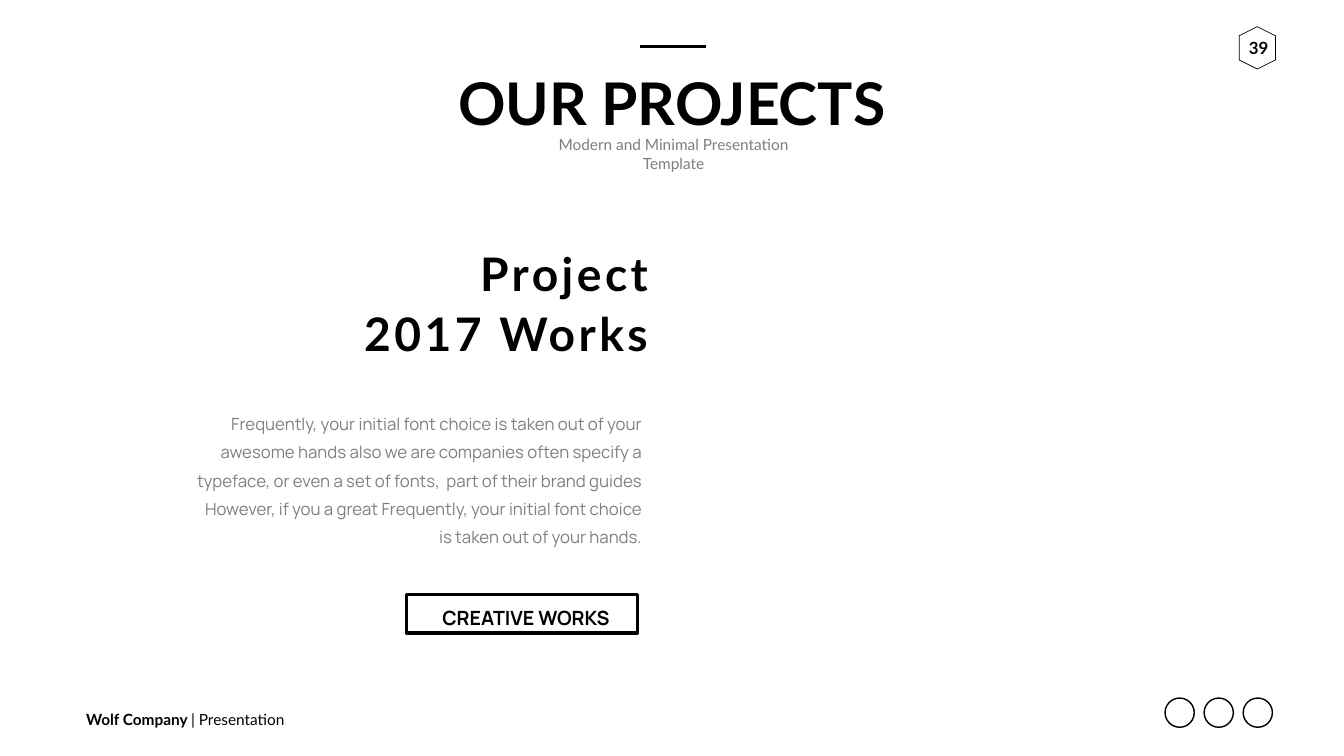
from lxml import etree
from pptx import Presentation
from pptx.dml.color import RGBColor
from pptx.enum.shapes import MSO_CONNECTOR, MSO_SHAPE
from pptx.enum.text import MSO_ANCHOR, MSO_AUTO_SIZE, PP_ALIGN
from pptx.oxml.ns import qn
from pptx.util import Inches, Pt

LEFT, CENTER, RIGHT = PP_ALIGN.LEFT, PP_ALIGN.CENTER, PP_ALIGN.RIGHT
TOP, MIDDLE = MSO_ANCHOR.TOP, MSO_ANCHOR.MIDDLE
FIT_SHAPE = MSO_AUTO_SIZE.SHAPE_TO_FIT_TEXT
STRAIGHT = MSO_CONNECTOR.STRAIGHT
HEXAGON, RECTANGLE, OVAL = MSO_SHAPE.HEXAGON, MSO_SHAPE.RECTANGLE, MSO_SHAPE.OVAL

COLORS = {"black": "000000", "gray": "7F7F7F"}
HEADING_FONT, BODY_FONT = "Lato", "Manrope"

BODY_TEXT = (
    "Frequently, your initial font choice is taken out of your awesome hands "
    "also we are companies often specify a typeface, or even a set of fonts,  "
    "part of their brand guides However, if you a great Frequently, your "
    "initial font choice is taken out of your hands."
)


def color(name):
    return RGBColor.from_string(COLORS[name])


def add_text(slide, box, paragraphs, size, font=HEADING_FONT, fill="black",
             align=LEFT, anchor=TOP, insets=(0.1, 0.05), wrap=False,
             line_spacing=None, letter_spacing=None):
    """Add a text box; each paragraph is a list of (text, bold) runs."""
    shape = slide.shapes.add_textbox(*map(Inches, box))
    frame = shape.text_frame
    frame.word_wrap = wrap
    frame.auto_size = FIT_SHAPE
    frame.vertical_anchor = anchor
    frame.margin_left = frame.margin_right = Inches(insets[0])
    frame.margin_top = frame.margin_bottom = Inches(insets[1])
    for index, runs in enumerate(paragraphs):
        paragraph = frame.add_paragraph() if index else frame.paragraphs[0]
        paragraph.alignment = align
        if line_spacing:
            paragraph.line_spacing = Pt(line_spacing)
        for text, bold in runs:
            run = paragraph.add_run()
            run.text = text
            run.font.name = font
            run.font.size = Pt(size)
            run.font.bold = bold
            run.font.color.rgb = color(fill)
            if letter_spacing:
                run.font._element.set("spc", str(letter_spacing * 100))


def add_outline(slide, preset, box, width, rotation=0):
    shape = slide.shapes.add_shape(preset, *map(Inches, box))
    shape.shadow.inherit = False
    shape.fill.background()
    shape.line.color.rgb = color("black")
    shape.line.width = Pt(width)
    shape.rotation = rotation


def add_rule(slide, left, right, y, width):
    line = slide.shapes.add_connector(
        STRAIGHT, Inches(left), Inches(y), Inches(right), Inches(y))
    line.line.color.rgb = color("black")
    line.line.width = Pt(width)
    etree.SubElement(line._element.spPr, qn("a:effectLst"))


def add_page_frame(slide):
    """Add the footer, the page number and the row of round badges."""
    add_text(slide, (1.61, 14.03, 4.17, 0.47),
             [[("Wolf Company ", True), ("| Presentation", False)]],
             22, anchor=MIDDLE)
    add_outline(slide, HEXAGON, (24.52, 0.59, 0.84, 0.72), 1, rotation=90)
    add_text(slide, (24.49, 0.65, 0.95, 0.61), [[("39", True)]], 24,
             align=CENTER, insets=(0.2, 0.1))
    for index in range(3):
        add_outline(slide, OVAL, (23.11 + 0.775 * index, 13.85, 0.58, 0.58), 2)


def add_header(slide):
    add_text(slide, (8.95, 1.28, 8.75, 1.51), [[("OUR PROJECTS", True)]],
             84, align=CENTER)
    add_text(slide, (10.38, 2.82, 5.96, 0.47),
             [[("Modern and Minimal Presentation Template", False)]],
             22, fill="gray", align=CENTER, anchor=MIDDLE, wrap=True)
    add_rule(slide, 12.7, 14, 0.92, 4.5)


def add_project(slide):
    add_text(slide, (7.06, 4.78, 5.8, 2.38),
             [[("Project", True)], [("2017 Works", True)]], 66,
             align=RIGHT, anchor=MIDDLE, insets=(0, 0),
             line_spacing=85, letter_spacing=5)
    add_text(slide, (3.58, 7.93, 9.39, 3.05), [[(BODY_TEXT, False)]], 24,
             font=BODY_FONT, fill="gray", align=RIGHT, insets=(0.24, 0.12),
             wrap=True, line_spacing=40.4)
    add_outline(slide, RECTANGLE, (8.06, 11.8, 4.58, 0.76), 4.5)
    add_text(slide, (8.51, 11.98, 3.68, 0.57), [[("CREATIVE WORKS", True)]],
             28, font=BODY_FONT, align=RIGHT, anchor=MIDDLE)


def main():
    presentation = Presentation()
    presentation.slide_width = Inches(26.66)
    presentation.slide_height = Inches(15)
    slide = presentation.slides.add_slide(presentation.slide_layouts[6])
    add_page_frame(slide)
    add_header(slide)
    add_project(slide)
    presentation.save("out.pptx")


if __name__ == "__main__":
    main()
